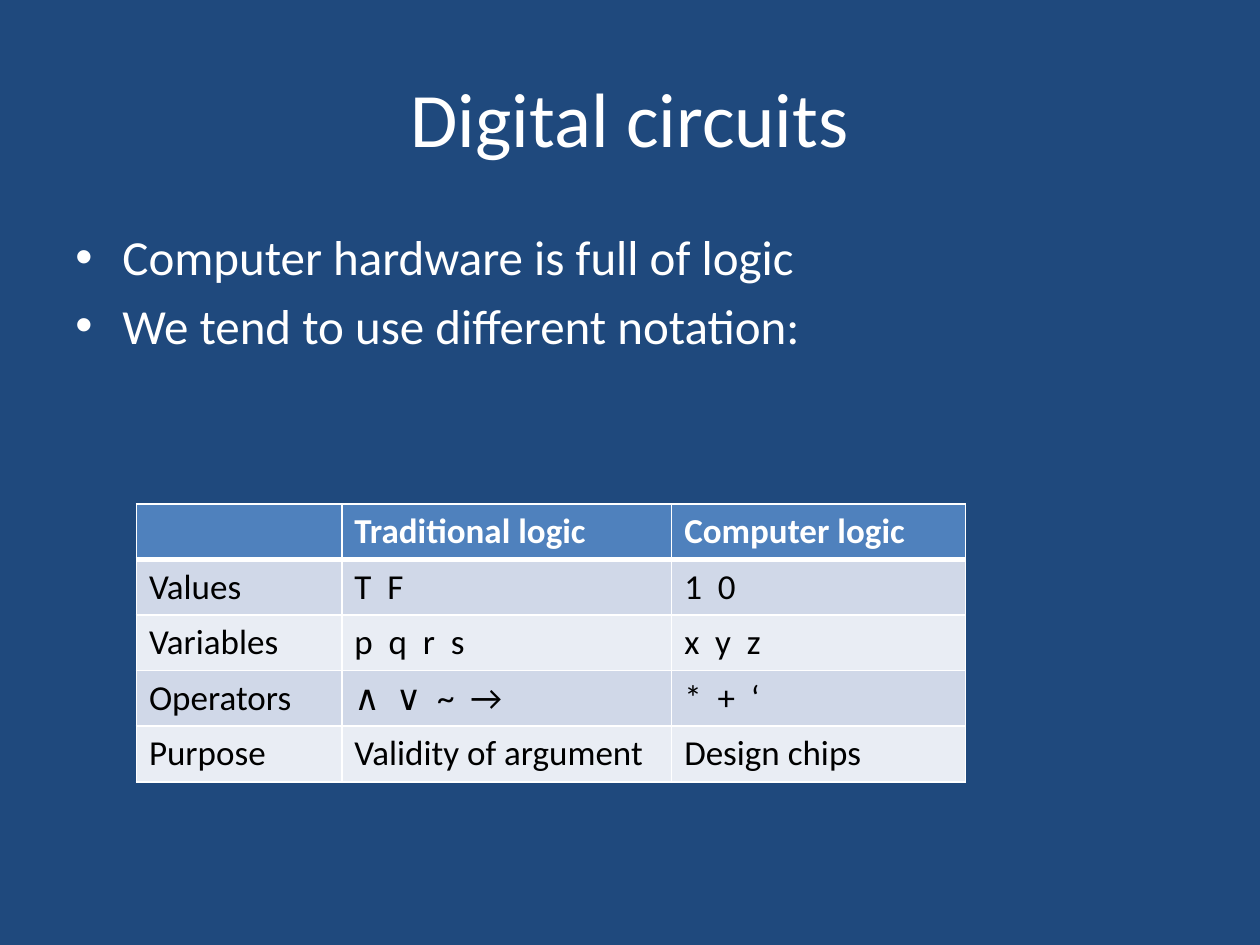
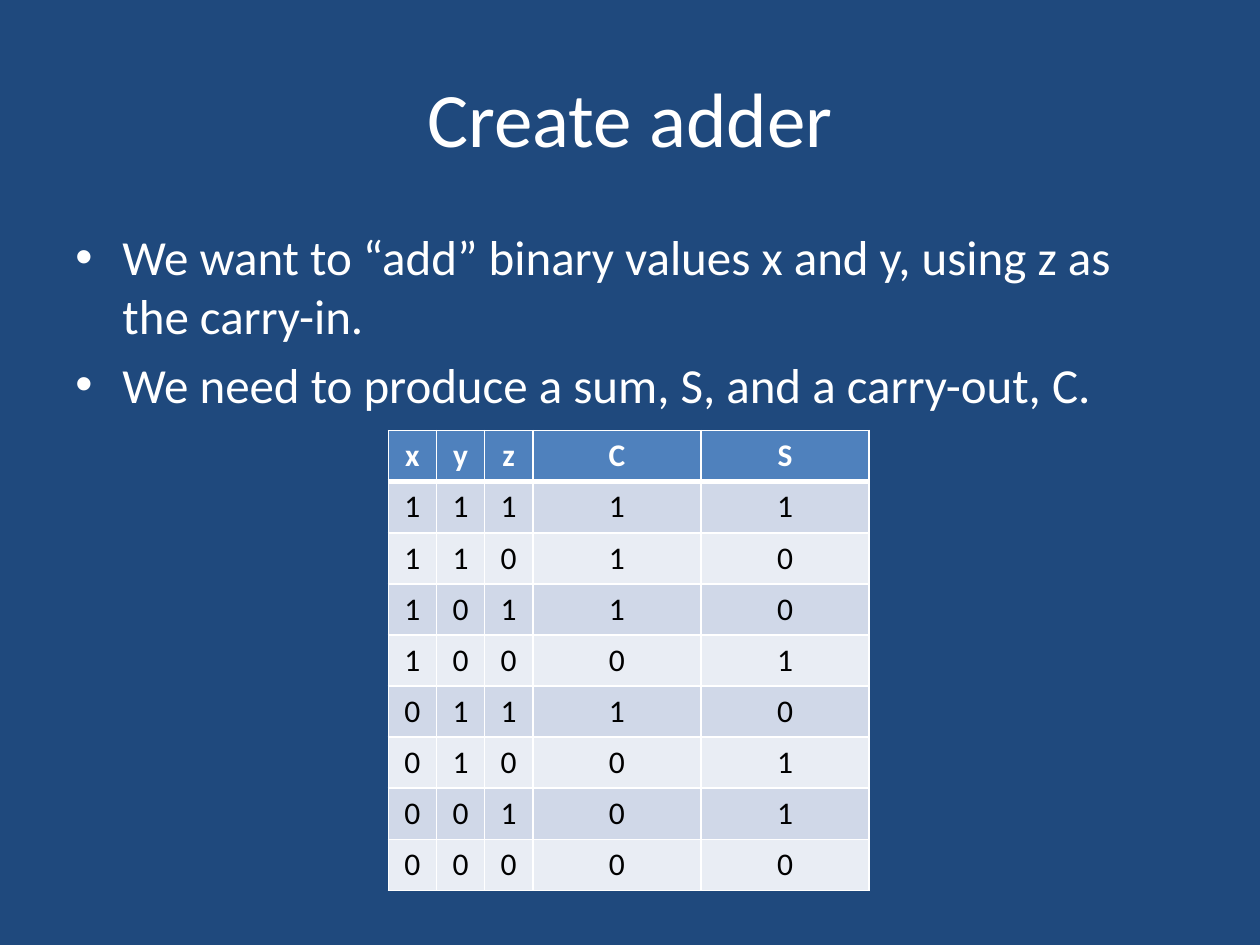
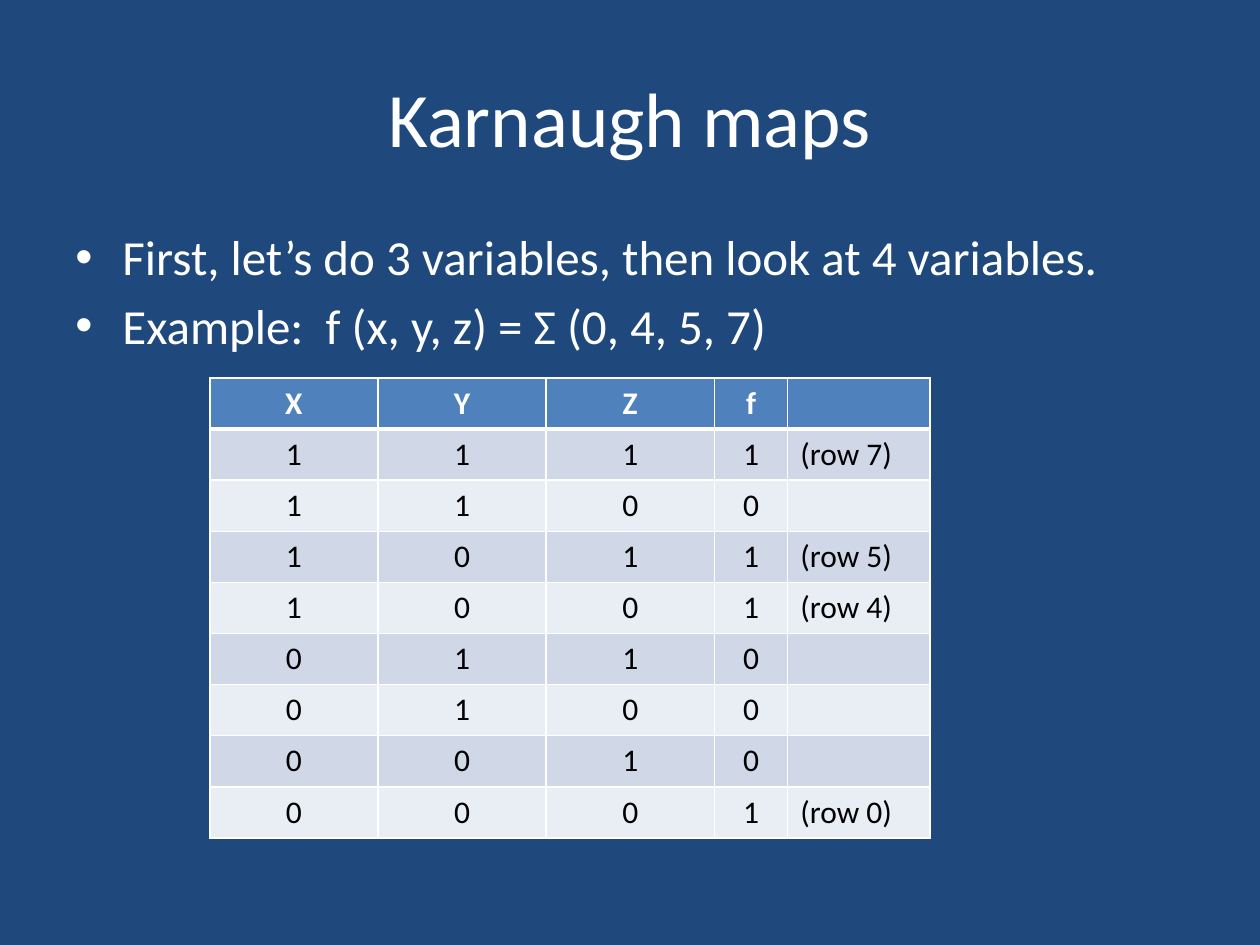
from itertools import product

from lxml.etree import SubElement
from pptx import Presentation
from pptx.dml.color import RGBColor
from pptx.enum.text import MSO_ANCHOR as Anchor, MSO_AUTO_SIZE as AutoSize, PP_ALIGN as Align
from pptx.oxml.ns import qn
from pptx.util import Cm, Pt

COLORS = {
    "background": "1F497D",
    "light": "FFFFFF",
    "dark": "000000",
    "header": "4F81BD",
    "odd_row": "D0D8E8",
    "even_row": "E9EDF4",
}
FONT = "Calibri"
TITLE_BOX = (1.27, 0.76, 22.86, 3.18)
BULLET_BOX = (1.27, 4.45, 22.86, 12.57)
BULLET_INDENT = Cm(0.95)
TITLE_ONLY = 5


def rgb(name):
    return RGBColor.from_string(COLORS[name])


def write(paragraph, text, size, color="light", bold=False):
    run = paragraph.add_run()
    run.text = text
    run.font.color.rgb = rgb(color)
    for name, value in {"name": FONT, "size": Pt(size), "bold": bold}.items():
        setattr(run.font, name, value)


def set_frame(frame, anchor):
    values = {"word_wrap": True, "auto_size": AutoSize.NONE, "vertical_anchor": anchor}
    for name, value in values.items():
        setattr(frame, name, value)


# Title and bullets
def add_titled_slide(presentation, title):
    slide = presentation.slides.add_slide(presentation.slide_layouts[TITLE_ONLY])
    shape = slide.shapes.title
    for name, value in zip(("left", "top", "width", "height"), TITLE_BOX):
        setattr(shape, name, Cm(value))
    set_frame(shape.text_frame, Anchor.MIDDLE)
    paragraph = shape.text_frame.paragraphs[0]
    paragraph.alignment = Align.CENTER
    write(paragraph, title, 44)
    return slide


def add_bullets(slide, lines):
    frame = slide.shapes.add_textbox(*map(Cm, BULLET_BOX)).text_frame
    set_frame(frame, Anchor.TOP)
    for index, line in enumerate(lines):
        paragraph = frame.add_paragraph() if index else frame.paragraphs[0]
        properties = paragraph._p.get_or_add_pPr()
        properties.set("marL", str(BULLET_INDENT))
        properties.set("indent", str(-BULLET_INDENT))
        SubElement(properties, qn("a:buFont"), typeface="Arial")
        SubElement(properties, qn("a:buChar"), char="•")
        if index:
            paragraph.space_before = Pt(5.6)
        write(paragraph, line, 28)


# Tables
def set_borders(cell, row_index):
    widths = {
        "lnL": 1,
        "lnR": 1,
        "lnT": 3 if row_index == 1 else 1,
        "lnB": 3 if row_index == 0 else 1,
    }
    properties = cell._tc.get_or_add_tcPr()
    for side, width in widths.items():
        line = SubElement(properties, qn(f"a:{side}"), w=str(Pt(width)))
        fill = SubElement(line, qn("a:solidFill"))
        SubElement(fill, qn("a:srgbClr"), val=COLORS["light"])


def add_table(slide, rows, left, top, widths, row_height, size, centered=0):
    """Draw a table whose first `centered` columns are centred."""
    table = slide.shapes.add_table(
        len(rows), len(widths), Cm(left), Cm(top),
        Cm(sum(widths)), Cm(row_height * len(rows)),
    ).table
    for column, width in zip(table.columns, widths):
        column.width = Cm(width)
    for row_index, values in enumerate(rows):
        table.rows[row_index].height = Cm(row_height)
        is_header = row_index == 0
        band = "header" if is_header else "odd_row" if row_index % 2 else "even_row"
        for column_index, value in enumerate(values):
            cell = table.cell(row_index, column_index)
            set_borders(cell, row_index)
            cell.fill.solid()
            cell.fill.fore_color.rgb = rgb(band)
            paragraph = cell.text_frame.paragraphs[0]
            if column_index < centered:
                paragraph.alignment = Align.CENTER
            if value != "":
                write(paragraph, str(value), size,
                      "light" if is_header else "dark", is_header)


# Truth tables
def adder_rows():
    rows = [("x", "y", "z", "C", "S")]
    for bits in product((1, 0), repeat=3):
        carry, total = divmod(sum(bits), 2)
        rows.append((*bits, carry, total))
    return rows


def minterm_rows(minterms):
    rows = [("X", "Y", "Z", "f", "")]
    for x, y, z in product((1, 0), repeat=3):
        number = 4 * x + 2 * y + z
        chosen = number in minterms
        rows.append((x, y, z, int(chosen), f"(row {number})" if chosen else ""))
    return rows


def main():
    presentation = Presentation()
    presentation.slide_width, presentation.slide_height = Cm(25.4), Cm(19.05)
    background = presentation.slide_master.background.fill
    background.solid()
    background.fore_color.rgb = rgb("background")

    # Notation
    slide = add_titled_slide(presentation, "Digital circuits")
    add_bullets(slide, ["Computer hardware is full of logic",
                        "We tend to use different notation:"])
    notation = [
        ("", "Traditional logic", "Computer logic"),
        ("Values", "T  F", "1  0"),
        ("Variables", "p  q  r  s", "x  y  z"),
        ("Operators", "∧  ∨  ~  →", "*  +  ‘"),
        ("Purpose", "Validity of argument", "Design chips"),
    ]
    add_table(slide, notation, 2.75, 10.16, (4.14, 6.65, 5.92), 1.12, 20)

    # Adder
    slide = add_titled_slide(presentation, "Create adder")
    add_bullets(slide, [
        "We want to “add” binary values x and y, using z as the carry-in.",
        "We need to produce a sum, S, and a carry-out, C.",
    ])
    add_table(slide, adder_rows(), 7.83, 8.68, (0.97,) * 3 + (3.39,) * 2,
              1.03, 18, centered=5)

    # Karnaugh maps
    slide = add_titled_slide(presentation, "Karnaugh maps")
    add_bullets(slide, ["First, let’s do 3 variables, then look at 4 variables.",
                        "Example:  f (x, y, z) = Σ (0, 4, 5, 7)"])
    add_table(slide, minterm_rows({0, 4, 5, 7}), 4.23, 7.62,
              (3.39,) * 3 + (1.48, 2.87), 1.03, 18, centered=4)

    presentation.save("out.pptx")


if __name__ == "__main__":
    main()
